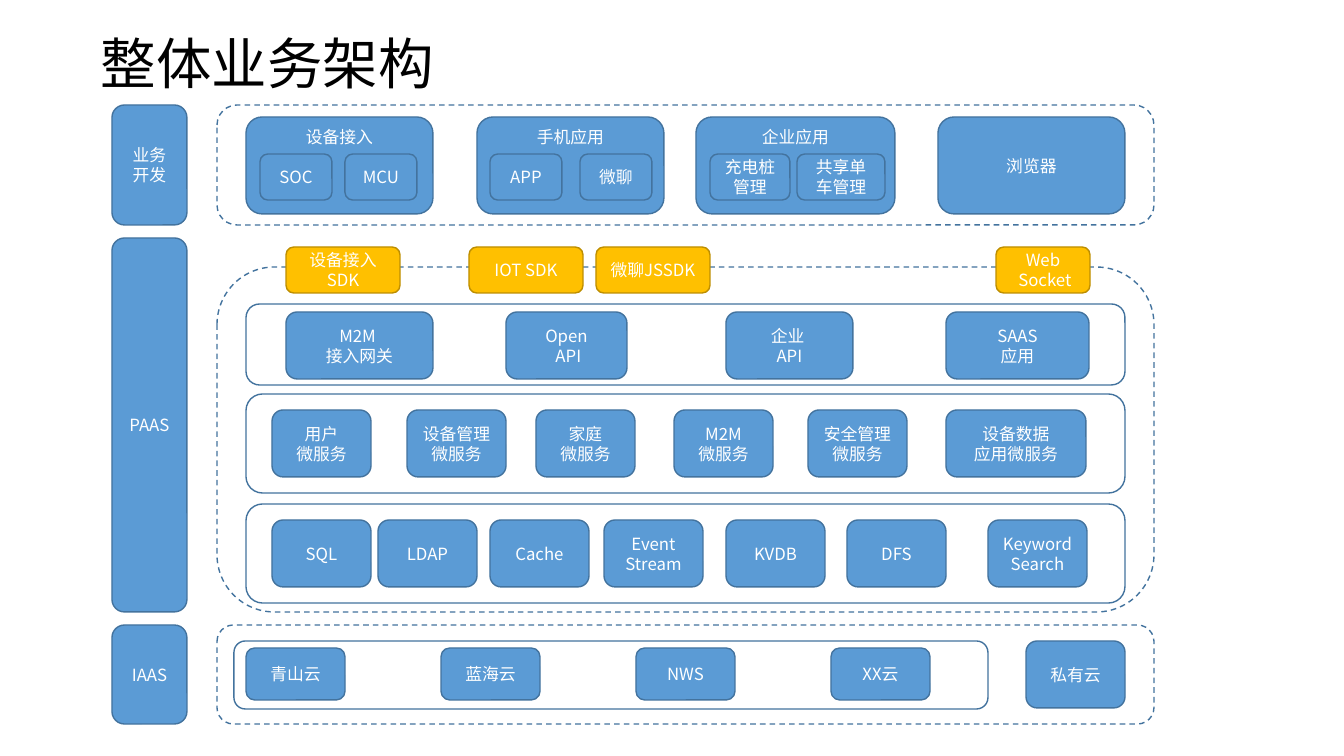
import pptx
import pptx.util
import pptx.dml.color
import pptx.enum.dml
import pptx.enum.shapes
import pptx.enum.text
import lxml.etree

EMU_PER_PX = 914400 / 100.8
COLORS = {"blue": "5B9BD5", "blue_edge": "43739E", "gold": "FFC000",
          "gold_edge": "BD8E00", "white": "FFFFFF", "black": "000000"}
CJK = "Noto Sans CJK SC"
MIDDLE = pptx.enum.text.MSO_ANCHOR.MIDDLE


def px(n):
    """Turn pixels into EMU."""
    return pptx.util.Emu(round(n * EMU_PER_PX))


def rgb(name):
    """Look up a named colour."""
    return pptx.dml.color.RGBColor.from_string(COLORS[name])


class Board:
    """Holds the style and the current slide."""

    def __init__(self, slide):
        """Keep the slide to draw on."""
        self.s = slide

    def style_text(self, tf, size, color, font, align, spacing):
        """Format every paragraph and run of a text frame."""
        for p in tf.paragraphs:
            p.alignment = align
            p.line_spacing = spacing
            for r in p.runs:
                r.font.size = pptx.util.Pt(size)
                r.font.name = font
                r.font.color.rgb = rgb(color)
                ea = lxml.etree.SubElement(r.font._element, pptx.oxml.ns.qn("a:ea"))
                ea.set("typeface", CJK)

    def rounded(self, x, y, w, h, edge):
        """Draw an unfilled rounded rectangle."""
        sp = self.s.shapes.add_shape(
            pptx.enum.shapes.MSO_SHAPE.ROUNDED_RECTANGLE, px(x), px(y), px(w), px(h))
        sp.shadow.inherit = False
        sp.fill.background()
        sp.line.color.rgb = rgb(edge)
        sp.line.width = pptx.util.Pt(1)
        return sp

    def panel(self, x, y, w, h, dashed=False):
        """Draw an outline that groups boxes."""
        sp = self.rounded(x, y, w, h, "blue_edge")
        if dashed:
            sp.line.dash_style = pptx.enum.dml.MSO_LINE.DASH

    def box(self, x, y, w, h, text, color="blue", anchor=MIDDLE):
        """Draw a filled box with centred text."""
        sp = self.rounded(x, y, w, h, color + "_edge")
        sp.fill.solid()
        sp.fill.fore_color.rgb = rgb(color)
        tf = sp.text_frame
        tf.word_wrap = True
        tf.vertical_anchor = anchor
        tf.text = text
        self.style_text(tf, 12, "white", CJK, pptx.enum.text.PP_ALIGN.CENTER,
                        pptx.util.Pt(14.4))

    def row(self, y, h, boxes, color="blue", anchor=MIDDLE):
        """Draw boxes, each (left, width, text), on one line."""
        for x, w, text in boxes:
            self.box(x, y, w, h, text, color, anchor)

    def title(self, x, y, w, h, text):
        """Write the slide title."""
        tf = self.s.shapes.add_textbox(px(x), px(y), px(w), px(h)).text_frame
        tf.word_wrap = True
        tf.vertical_anchor = MIDDLE
        tf.text = text
        self.style_text(tf, 39.6, "black", "Calibri", pptx.enum.text.PP_ALIGN.LEFT, 0.9)


prs = pptx.Presentation()
prs.slide_width, prs.slide_height = px(1344), px(756)
board = Board(prs.slides.add_slide(prs.slide_layouts[6]))
board.title(91, 28, 1159, 77, "整体业务架构")

# Layer labels and their dashed outlines
LAYERS = [("业务开发", 105, 120, 105), ("PAAS", 238, 374, 267), ("IAAS", 625, 99, 625)]
for name, top, height, outline_top in LAYERS:
    board.box(112, top, 75, height, name)
    board.panel(217, outline_top, 937, top + height - outline_top, dashed=True)

# Business applications
board.row(117, 97, [(246, 187, "设备接入"), (477, 187, "手机应用"), (696, 199, "企业应用")],
          anchor=pptx.enum.text.MSO_ANCHOR.TOP)
board.box(938, 117, 187, 97, "浏览器")
board.row(154, 46, [(260, 72, "SOC"), (345, 72, "MCU"), (490, 72, "APP"),
                    (580, 72, "微聊"), (710, 80, "充电桩管理"), (797, 88, "共享单车管理")])

# Platform: SDKs, gateways, microservices, data stores
board.row(247, 46, [(286, 114, "设备接入SDK"), (469, 114, "IOT SDK"),
                    (596, 114, "微聊JSSDK"), (996, 94, "Web\n Socket")], "gold")
for top, height in [(304, 81), (394, 99), (504, 99)]:
    board.panel(246, top, 879, height)

gateways = [(147, "M2M \n接入网关"), (121, "Open\n API"), (127, "企业 \nAPI"), (143, "SAAS\n应用")]
board.row(312, 67, [(286 + 220 * i, w, text) for i, (w, text) in enumerate(gateways)])

services = [(272, 99, "用户"), (407, 99, "设备管理"), (536, 99, "家庭"),
            (674, 99, "M2M"), (808, 99, "安全管理"), (946, 140, "设备数据")]
board.row(410, 67, [(x, w, text + ("\n应用微服务" if w > 99 else "\n微服务"))
                    for x, w, text in services])

stores = [(272, "SQL"), (378, "LDAP"), (490, "Cache"), (604, "Event\nStream"),
          (726, "KVDB"), (847, "DFS"), (988, "Keyword\nSearch")]
board.row(520, 67, [(x, 99, text) for x, text in stores])

# Infrastructure clouds
board.panel(234, 641, 754, 68)
clouds = ["青山云", "蓝海云", "NWS", "XX云"]
board.row(648, 52, [(246 + 195 * i, 99, text) for i, text in enumerate(clouds)])
board.box(1026, 641, 99, 67, "私有云")

prs.save("out.pptx")
